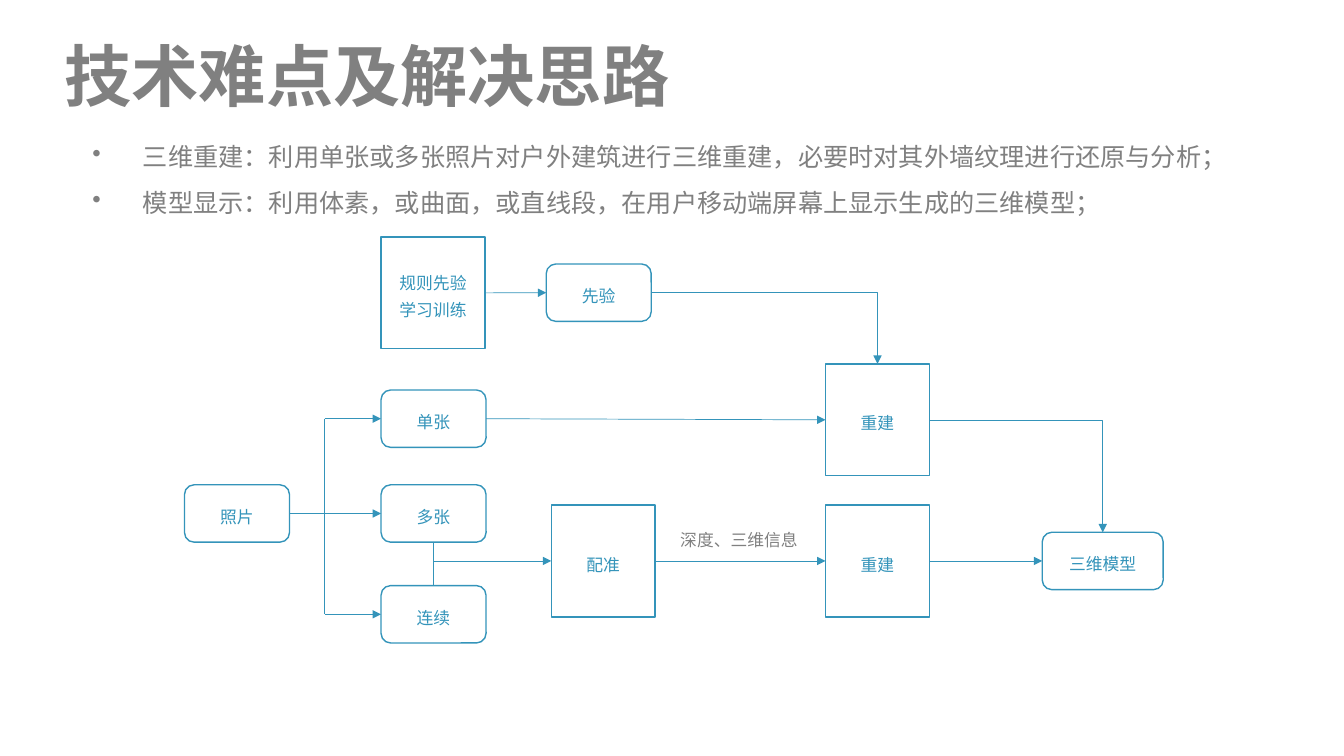
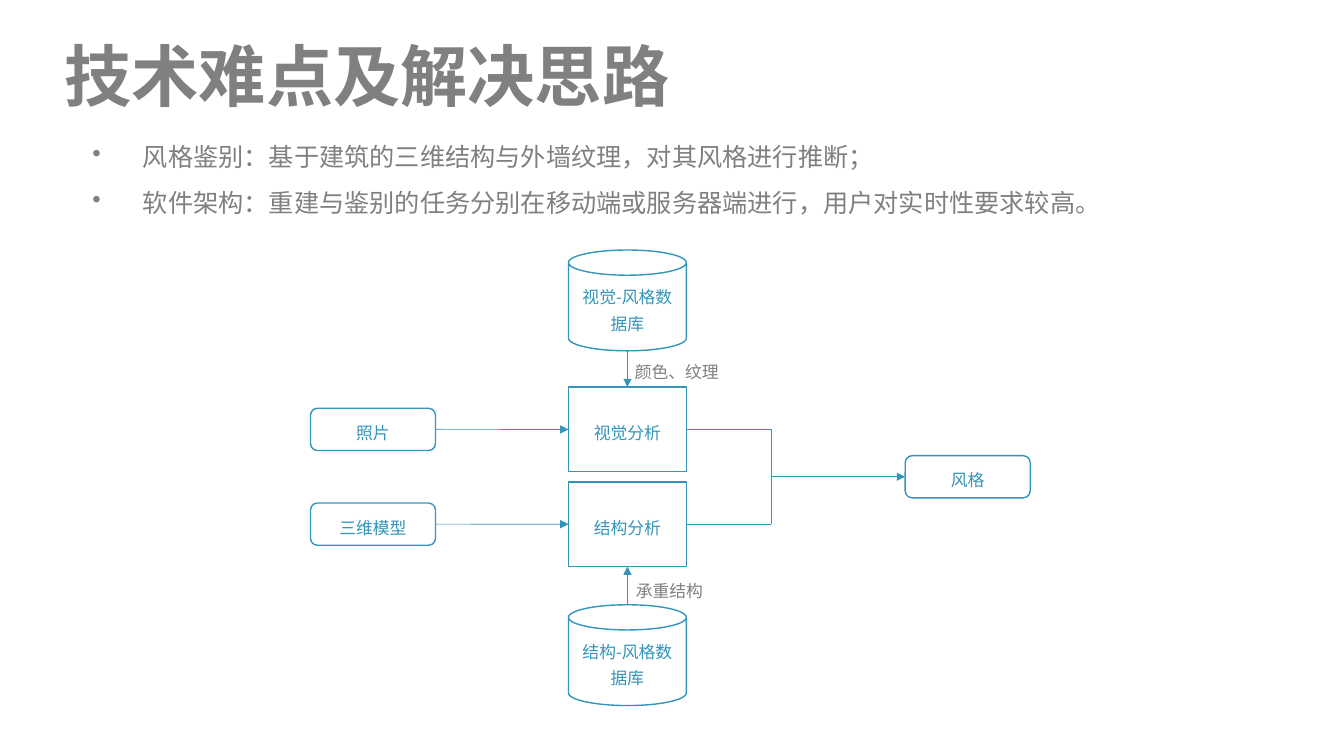
from dataclasses import dataclass

from lxml import etree
from pptx import Presentation
from pptx.dml.color import RGBColor
from pptx.enum.shapes import MSO_CONNECTOR, MSO_SHAPE
from pptx.enum.text import MSO_ANCHOR, MSO_AUTO_SIZE, PP_ALIGN
from pptx.oxml.ns import qn
from pptx.shapes.base import BaseShape
from pptx.shapes.connector import Connector
from pptx.slide import Slide
from pptx.text.text import TextFrame
from pptx.util import Pt

BLUE = RGBColor(0x34, 0x94, 0xBA)
GRAY = RGBColor(0x80, 0x80, 0x80)
WHITE = RGBColor(0xFF, 0xFF, 0xFF)
SANS, CJK = "Noto Sans", "Noto Sans CJK SC"

RECT = MSO_SHAPE.RECTANGLE
ROUND = MSO_SHAPE.ROUNDED_RECTANGLE
CAN = MSO_SHAPE.CAN
LINE, ELBOW = MSO_CONNECTOR.STRAIGHT, MSO_CONNECTOR.ELBOW
TOP, MIDDLE = MSO_ANCHOR.TOP, MSO_ANCHOR.MIDDLE
LEFT, CENTER = PP_ALIGN.LEFT, PP_ALIGN.CENTER
FIXED = MSO_AUTO_SIZE.NONE

# Connection sites of rectangles
SITE_TOP, SITE_LEFT, SITE_RIGHT = 0, 1, 3
TITLE = "技术难点及解决思路"


@dataclass(frozen=True)
class Node:
    """A labelled box of a flow chart."""
    key: str
    text: str
    x: float
    y: float
    w: float
    h: float
    kind: MSO_SHAPE = RECT


@dataclass(frozen=True)
class Link:
    """An arrow from the right side of one node to another node."""
    start: str
    end: str
    bent: bool = False


@dataclass(frozen=True)
class Rule:
    """A free straight line, with or without an arrowhead."""
    x1: float
    y1: float
    x2: float
    y2: float
    arrow: bool = False


@dataclass(frozen=True)
class Label:
    """A small gray caption beside an arrow."""
    text: str
    x: float
    y: float
    w: float


@dataclass(frozen=True)
class Chart:
    """All that one slide holds below its title."""
    points: str
    nodes: list[Node]
    links: list[Link]
    rules: list[Rule]
    labels: list[Label]


def write(frame: TextFrame, text: str, *, size: float = 12,
          pitch: float = 19.2, font: str = SANS, color: RGBColor = GRAY,
          bold: bool = False, align: PP_ALIGN = LEFT,
          anchor: MSO_ANCHOR = TOP, bullet: bool = False) -> None:
    """Fill a frame with one formatted paragraph for each line of text."""
    frame.word_wrap = True
    frame.auto_size = FIXED
    frame.vertical_anchor = anchor
    for i, part in enumerate(text.split("\n")):
        para = frame.add_paragraph() if i else frame.paragraphs[0]
        para.alignment = align
        para.line_spacing = Pt(pitch)
        run = para.add_run()
        run.text = part
        run.font.size = Pt(size)
        run.font.bold = bold
        run.font.color.rgb = color
        run.font.name = font
        latin = run.font._element.find(qn("a:latin"))
        east = etree.Element(qn("a:ea"), typeface=CJK)
        latin.addnext(east)
        if bullet:
            props = para._p.get_or_add_pPr()
            props.set("marL", str(Pt(36)))
            props.set("indent", str(-Pt(36)))
            etree.SubElement(props, qn("a:buChar"), char="•")


def add_text(slide: Slide, text: str, x: float, y: float,
             w: float, h: float, **style) -> None:
    """Add a text box."""
    box = slide.shapes.add_textbox(Pt(x), Pt(y), Pt(w), Pt(h))
    write(box.text_frame, text, **style)


def add_title(slide: Slide) -> None:
    """Place and format the title placeholder."""
    title = slide.shapes.title
    title.left, title.top = Pt(38.9), Pt(17.3)
    title.width, title.height = Pt(453), Pt(59)
    write(title.text_frame, TITLE, size=48, pitch=61, bold=True)


def add_node(slide: Slide, node: Node) -> BaseShape:
    """Draw one box with its centred text."""
    shape = slide.shapes.add_shape(
        node.kind, Pt(node.x), Pt(node.y), Pt(node.w), Pt(node.h))
    shape.shadow.inherit = False
    shape.fill.solid()
    shape.fill.fore_color.rgb = WHITE
    shape.line.color.rgb = BLUE
    shape.line.width = Pt(1)
    write(shape.text_frame, node.text, font=CJK, color=BLUE,
          align=CENTER, anchor=MIDDLE)
    return shape


def style_line(line: Connector, arrow: bool) -> None:
    """Give a connector its thin blue line and its arrowhead."""
    line.line.color.rgb = BLUE
    line.line.width = Pt(0.5)
    if arrow:
        etree.SubElement(line.line._get_or_add_ln(), qn("a:tailEnd"),
                         type="triangle")
    etree.SubElement(line._element.spPr, qn("a:effectLst"))


def add_rule(slide: Slide, rule: Rule) -> None:
    """Draw a free line."""
    line = slide.shapes.add_connector(
        LINE, Pt(rule.x1), Pt(rule.y1), Pt(rule.x2), Pt(rule.y2))
    style_line(line, rule.arrow)


def add_link(slide: Slide, link: Link, shapes: dict[str, BaseShape]) -> None:
    """Join two boxes; a bent link turns once and enters from above."""
    line = slide.shapes.add_connector(
        ELBOW if link.bent else LINE, 0, 0, 0, 0)
    line.begin_connect(shapes[link.start], SITE_RIGHT)
    line.end_connect(shapes[link.end], SITE_TOP if link.bent else SITE_LEFT)
    if link.bent:
        geom = line._element.spPr.find(qn("a:prstGeom"))
        geom.set("prst", "bentConnector2")
    style_line(line, True)


def add_slide(deck: Presentation, chart: Chart) -> None:
    """Build one slide: title, two points and a flow chart."""
    slide = deck.slides.add_slide(deck.slide_layouts[5])
    add_title(slide)
    add_text(slide, chart.points, 59, 86.4, 878.4, 72.7,
             size=18, pitch=32.8, bullet=True)
    shapes = {node.key: add_node(slide, node) for node in chart.nodes}
    for link in chart.links:
        add_link(slide, link, shapes)
    for rule in chart.rules:
        add_rule(slide, rule)
    for label in chart.labels:
        add_text(slide, label.text, label.x, label.y, label.w, 22.4)


def model_chart() -> Chart:
    """Describe the rebuilding of a model from photos."""
    box, pill = (74.2, 80), (75, 41, ROUND)
    col, far, low = 272.2, 589.7, 360.7
    fork, join = 231.8, col + 37.5
    rows = {"one": 278.6, "many": 346.3, "series": 418.3}
    names = {"one": "单张", "many": "多张", "series": "连续"}
    mid = {key: y + 20.5 for key, y in rows.items()}
    nodes = [
        Node("train", "规则先验\n学习训练", col, 169.2, *box),
        Node("prior", "先验", 390.2, 188.6, *pill),
        Node("match", "配准", 393.8, low, *box),
        Node("build1", "重建", far, 259.9, *box),
        Node("build2", "重建", far, low, *box),
        Node("photo", "照片", 131.8, rows["many"], *pill),
        Node("model", "三维模型", 744.5, 380.2, 86.4, 41, ROUND),
    ]
    nodes += [Node(key, names[key], col, y, *pill)
              for key, y in rows.items()]
    return Chart(
        "三维重建：利用单张或多张照片对户外建筑进行三维重建，"
        "必要时对其外墙纹理进行还原与分析；\n"
        "模型显示：利用体素，或曲面，或直线段，"
        "在用户移动端屏幕上显示生成的三维模型；",
        nodes,
        [Link("train", "prior"), Link("one", "build1"),
         Link("match", "build2"), Link("build2", "model"),
         Link("photo", "many"), Link("prior", "build1", True),
         Link("build1", "model", True)],
        [Rule(fork, mid["one"], fork, mid["series"]),
         Rule(fork, mid["one"], col, mid["one"], True),
         Rule(fork, mid["series"], col, mid["series"], True),
         Rule(join, rows["many"] + 41, join, rows["series"]),
         Rule(join, low + 40, 393.8, low + 40, True)],
        [Label("深度、三维信息", 478.8, 370.1, 121)])


def style_chart() -> Chart:
    """Describe the finding of a style from look and structure."""
    box, pill, can = (84.2, 60.5), (89.3, 30.2, ROUND), (84.2, 72, CAN)
    left, col, right = 221.8, 406.1, 646.6
    upper, lower = 306.7, 374.4
    axis, edge, bend = col + 42.1, col + 84.2, 551
    mid = (upper + lower) / 2
    return Chart(
        "风格鉴别：基于建筑的三维结构与外墙纹理，对其风格进行推断；\n"
        "软件架构：重建与鉴别的任务分别在移动端或服务器端进行，"
        "用户对实时性要求较高。",
        [Node("photo", "照片", left, upper - 15.1, *pill),
         Node("model", "三维模型", left, lower - 15.1, *pill),
         Node("look", "视觉分析", col, upper - 30.2, *box),
         Node("frame", "结构分析", col, lower - 30.2, *box),
         Node("style", "风格", right, mid - 15.1, *pill),
         Node("looks", "视觉-风格数据库", col, 178.6, *can),
         Node("frames", "结构-风格数据库", col, 432, *can)],
        [Link("photo", "look"), Link("model", "frame")],
        [Rule(axis, 250.6, axis, upper - 30.2, True),
         Rule(axis, 432, axis, lower + 30.3, True),
         Rule(edge, upper, bend, upper),
         Rule(edge, lower, bend, lower),
         Rule(bend, upper, bend, lower),
         Rule(bend, mid, right, mid, True)],
        [Label("承重结构", 447.1, 406.8, 69),
         Label("颜色、纹理", 446.4, 249.8, 82)])


def main() -> None:
    """Build and save the deck."""
    deck = Presentation()
    deck.slide_width, deck.slide_height = Pt(960), Pt(540)
    for chart in (model_chart(), style_chart()):
        add_slide(deck, chart)
    deck.save("out.pptx")


main()
